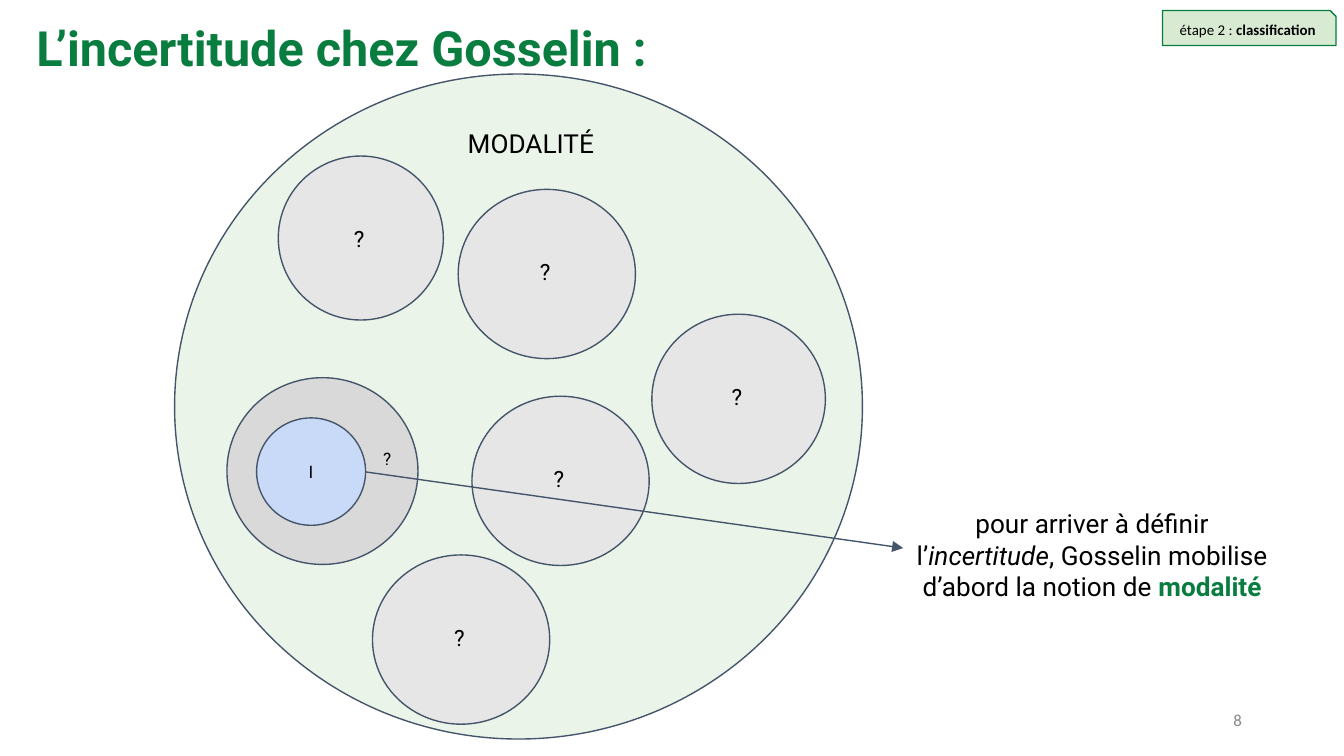
"""Builds the slide on uncertainty as a part of modality."""

from dataclasses import dataclass

from lxml.etree import SubElement
from pptx import Presentation
from pptx.dml.color import RGBColor
from pptx.enum.shapes import MSO_CONNECTOR, MSO_SHAPE
from pptx.enum.text import MSO_ANCHOR, PP_ALIGN
from pptx.oxml.ns import qn
from pptx.shapes.autoshape import Shape
from pptx.shapes.connector import Connector
from pptx.slide import Slide
from pptx.util import Cm, Pt


@dataclass(frozen=True)
class Theme:
    green: str = "097D3F"
    pale_green: str = "D9EAD3"
    outline: str = "44546A"
    gray: str = "D9D9D9"
    light_gray: str = "E7E6E6"
    blue: str = "C9DAF8"
    black: str = "000000"
    number_gray: str = "888888"
    title_size: float = 26
    body_size: float = 14
    label_size: float = 12
    small_size: float = 9.2
    number_size: float = 9
    tag_size: float = 8
    line_width: float = 0.75
    font: str = "Roboto"
    tag_font: str = "Calibri"


@dataclass(frozen=True)
class Box:
    left: float
    top: float
    width: float
    height: float


@dataclass(frozen=True)
class Run:
    text: str
    bold: bool = False
    italic: bool = False
    color: str | None = None


THEME = Theme()
MODALITY = Box(3.3, 1.4, 13, 12.57)
KNOWN_CATEGORY = Box(4.29, 7.14, 3.61, 3.53)
UNCERTAINTY = Box(4.85, 7.9, 2.06, 2.03)
UNKNOWN_CATEGORIES = (
    Box(12.32, 5.94, 3.28, 3.2),
    Box(5.26, 2.95, 3.12, 3.1),
    Box(8.66, 3.58, 3.35, 3.2),
    Box(8.92, 7.49, 3.35, 3.2),
    Box(7.04, 10.49, 3.35, 3.2),
)
LABEL_WIDTH, LABEL_HEIGHT, LABEL_DROP = 0.76, 1.42, 1.05


def write_text(
    shape: Shape,
    *runs: Run,
    size: float,
    font: str = THEME.font,
    color: str = THEME.black,
    align: PP_ALIGN = PP_ALIGN.LEFT,
    anchor: MSO_ANCHOR = MSO_ANCHOR.TOP,
    inset: tuple[float, float] = (0.25, 0.25),
) -> None:
    """Write one paragraph of formatted runs into a shape."""
    frame = shape.text_frame
    frame.word_wrap = True
    frame.vertical_anchor = anchor
    frame.margin_left = frame.margin_right = Cm(inset[0])
    frame.margin_top = frame.margin_bottom = Cm(inset[1])
    paragraph = frame.paragraphs[0]
    paragraph.alignment = align
    for piece in runs:
        run = paragraph.add_run()
        run.text = piece.text
        run.font.name = font
        run.font.size = Pt(size)
        run.font.bold = piece.bold
        run.font.italic = piece.italic
        run.font.color.rgb = RGBColor.from_string(piece.color or color)


def add_text_box(slide: Slide, box: Box) -> Shape:
    """Add an empty text box."""
    return slide.shapes.add_textbox(Cm(box.left), Cm(box.top), Cm(box.width), Cm(box.height))


def style_line(shape: Shape | Connector, color: str) -> None:
    """Give a shape or connector the common line width and a colour."""
    shape.line.color.rgb = RGBColor.from_string(color)
    shape.line.width = Pt(THEME.line_width)


def add_filled_shape(
    slide: Slide, box: Box, fill: str, kind: MSO_SHAPE = MSO_SHAPE.OVAL, line: str = THEME.outline
) -> Shape:
    """Add a flat outlined shape, an ellipse by default."""
    shape = slide.shapes.add_shape(
        kind, Cm(box.left), Cm(box.top), Cm(box.width), Cm(box.height)
    )
    shape.shadow.inherit = False
    shape.fill.solid()
    shape.fill.fore_color.rgb = RGBColor.from_string(fill)
    style_line(shape, line)
    return shape


def set_opacity(shape: Shape, percent: int) -> None:
    """Make the solid fill of a shape partly transparent."""
    color = shape.fill._xPr.find(qn("a:solidFill"))[0]
    SubElement(color, qn("a:alpha")).set("val", str(percent * 1000))


def add_unknown_category(slide: Slide, box: Box) -> None:
    """Add a gray circle with a question mark in its middle."""
    add_filled_shape(slide, box, THEME.light_gray)
    left = box.left + (box.width - LABEL_WIDTH) / 2
    label = add_text_box(slide, Box(left, box.top + LABEL_DROP, LABEL_WIDTH, LABEL_HEIGHT))
    write_text(label, Run("?"), size=THEME.label_size)


def add_arrow(slide: Slide, start: tuple[float, float], end: tuple[float, float]) -> None:
    """Add a straight arrow with a triangular head at its end."""
    arrow = slide.shapes.add_connector(MSO_CONNECTOR.STRAIGHT, *map(Cm, start + end))
    style_line(arrow, THEME.outline)
    SubElement(arrow.line._get_or_add_ln(), qn("a:tailEnd")).set("type", "triangle")
    SubElement(arrow._element.spPr, qn("a:effectLst"))


def add_diagram(slide: Slide) -> None:
    """Add the modality circle and the categories inside it."""
    set_opacity(add_filled_shape(slide, MODALITY, THEME.pale_green), 50)
    add_filled_shape(slide, KNOWN_CATEGORY, THEME.gray)
    uncertainty = add_filled_shape(slide, UNCERTAINTY, THEME.blue)
    write_text(uncertainty, Run("I"), size=THEME.small_size, align=PP_ALIGN.CENTER,
               anchor=MSO_ANCHOR.MIDDLE, inset=(0.2, 0.2))
    category_label = add_text_box(slide, Box(7.04, 8.28, 0.58, 0.71))
    write_text(category_label, Run("?"), size=THEME.small_size, inset=(0.2, 0.2))
    modality_label = add_text_box(slide, Box(8.59, 2.16, 3.86, 0.94))
    write_text(modality_label, Run("MODALITÉ"), size=THEME.body_size)
    for box in UNKNOWN_CATEGORIES:
        add_unknown_category(slide, box)


def add_texts(slide: Slide) -> None:
    """Add the title, explanation, slide number and step tag."""
    title = add_text_box(slide, Box(0.51, 0.25, 22.07, 1.3))
    write_text(title, Run("L’incertitude chez Gosselin :", bold=True),
               size=THEME.title_size, color=THEME.green, inset=(0.18, 0.1))
    explanation = add_text_box(slide, Box(17.07, 9.35, 7.14, 2.03))
    write_text(
        explanation,
        Run("pour arriver à définir l’"),
        Run("incertitude", italic=True),
        Run(", Gosselin mobilise d’abord la notion de "),
        Run("modalité", bold=True, color=THEME.green),
        size=THEME.body_size,
        align=PP_ALIGN.CENTER,
    )
    number = add_text_box(slide, Box(17.93, 13.23, 5.72, 0.76))
    write_text(number, Run("8"), size=THEME.number_size, font=THEME.tag_font,
               color=THEME.number_gray, align=PP_ALIGN.RIGHT, anchor=MSO_ANCHOR.MIDDLE,
               inset=(0.18, 0.1))
    tag = add_filled_shape(slide, Box(21.97, 0.2, 3.28, 0.66), THEME.pale_green,
                           MSO_SHAPE.SNIP_1_RECTANGLE, THEME.green)
    write_text(tag, Run("étape 2 : "), Run("classification", bold=True), size=THEME.tag_size,
               font=THEME.tag_font, align=PP_ALIGN.CENTER, anchor=MSO_ANCHOR.MIDDLE)


def main() -> None:
    """Build and save the presentation."""
    presentation = Presentation()
    presentation.slide_width, presentation.slide_height = Cm(25.4), Cm(14.29)
    slide = presentation.slides.add_slide(presentation.slide_layouts[6])
    add_diagram(slide)
    add_texts(slide)
    add_arrow(slide, (6.91, 8.92), (17.07, 10.36))
    presentation.save("out.pptx")


if __name__ == "__main__":
    main()
